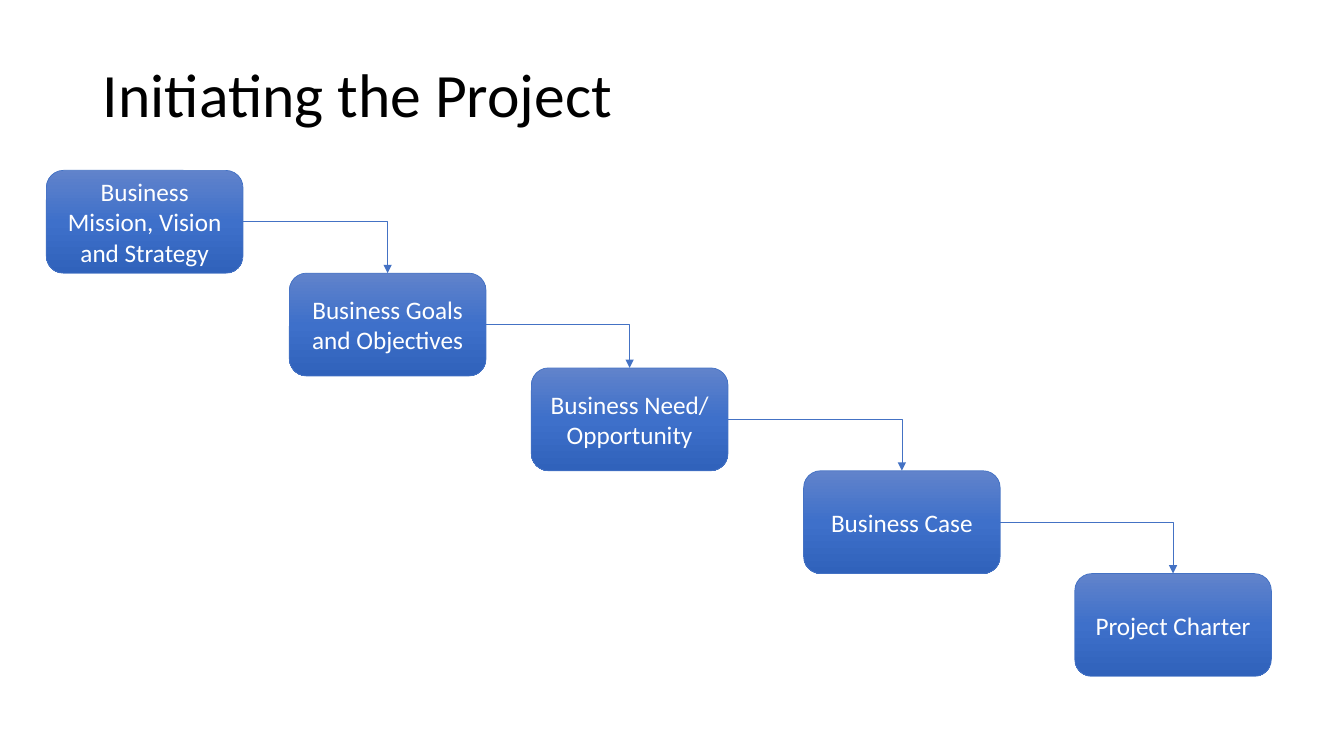
from copy import deepcopy
from dataclasses import dataclass
from itertools import pairwise

from lxml.etree import SubElement
from pptx import Presentation
from pptx.dml.color import RGBColor
from pptx.enum.shapes import MSO_CONNECTOR, MSO_SHAPE
from pptx.enum.text import MSO_ANCHOR, MSO_AUTO_SIZE, PP_ALIGN
from pptx.oxml.ns import qn
from pptx.util import Inches, Pt


@dataclass(frozen=True)
class Theme:
    font: str = "Calibri"
    title_size: int = 44
    box_size: int = 18
    title_color: str = "000000"
    box_color: str = "FFFFFF"
    line_color: str = "4472C4"
    line_width: float = 0.5
    gradient: tuple = ((0, "6183CB"), (0.5, "3E70CA"), (1, "3062BB"))


BOX_WIDTH, BOX_HEIGHT = 1.95, 1.02
TOP, RIGHT = 0, 3  # connection sites of a rounded rectangle
STEPS = (
    ("Business Mission, Vision and Strategy", 0.46, 1.69),
    ("Business Goals and Objectives", 2.87, 2.71),
    ("Business Need/ Opportunity", 5.27, 3.65),
    ("Business Case", 7.97, 4.67),
    ("Project Charter", 10.66, 5.69),
)


class SlideBuilder:
    def __init__(self, prs, theme):
        self.theme = theme
        self.s = prs.slides.add_slide(prs.slide_layouts[5])

    def set_text(self, sp, text, size, color, align):
        tf = sp.text_frame
        tf.text = text
        tf.word_wrap = True
        tf.auto_size = MSO_AUTO_SIZE.NONE
        tf.vertical_anchor = MSO_ANCHOR.MIDDLE
        p = tf.paragraphs[0]
        p.alignment = align
        p.font.name = self.theme.font
        p.font.size = Pt(size)
        p.font.color.rgb = RGBColor.from_string(color)
        return p

    def outline(self, line):
        line.color.rgb = RGBColor.from_string(self.theme.line_color)
        line.width = Pt(self.theme.line_width)

    def title(self, text, left, top, width, height):
        sp = self.s.shapes.title
        sp.left, sp.top = Inches(left), Inches(top)
        sp.width, sp.height = Inches(width), Inches(height)
        p = self.set_text(sp, text, self.theme.title_size,
                          self.theme.title_color, PP_ALIGN.LEFT)
        p.line_spacing = 0.9

    def box(self, text, left, top):
        sp = self.s.shapes.add_shape(
            MSO_SHAPE.ROUNDED_RECTANGLE, Inches(left), Inches(top),
            Inches(BOX_WIDTH), Inches(BOX_HEIGHT))
        sp.shadow.inherit = False
        self.shade(sp)
        self.outline(sp.line)
        self.set_text(sp, text, self.theme.box_size,
                      self.theme.box_color, PP_ALIGN.CENTER)
        return sp

    def shade(self, sp):
        """Fill the shape with the theme's gradient, running downwards."""
        sp.fill.gradient()
        sp.fill.gradient_angle = 270
        stop_list = sp._element.spPr.find(".//" + qn("a:gsLst"))
        stop_list.append(deepcopy(stop_list[0]))
        for stop, (position, color) in zip(sp.fill.gradient_stops, self.theme.gradient):
            stop.position = position
            stop.color.rgb = RGBColor.from_string(color)

    def arrow(self, source, target):
        """Join the right side of one box to the top of the next."""
        cxn = self.s.shapes.add_connector(MSO_CONNECTOR.ELBOW, 0, 0, 0, 0)
        cxn.begin_connect(source, RIGHT)
        cxn.end_connect(target, TOP)
        self.outline(cxn.line)
        spPr = cxn._element.spPr
        spPr.find(qn("a:prstGeom")).set("prst", "bentConnector2")
        SubElement(spPr.find(qn("a:ln")), qn("a:tailEnd"), type="triangle")
        SubElement(spPr, qn("a:effectLst"))


def main():
    prs = Presentation()
    prs.slide_width, prs.slide_height = Inches(13.33), Inches(7.5)
    slide = SlideBuilder(prs, Theme())
    slide.title("Initiating the Project", 0.92, 0.24, 11.5, 1.45)
    boxes = [slide.box(*step) for step in STEPS]
    for source, target in pairwise(boxes):
        slide.arrow(source, target)
    prs.save("out.pptx")


if __name__ == "__main__":
    main()
